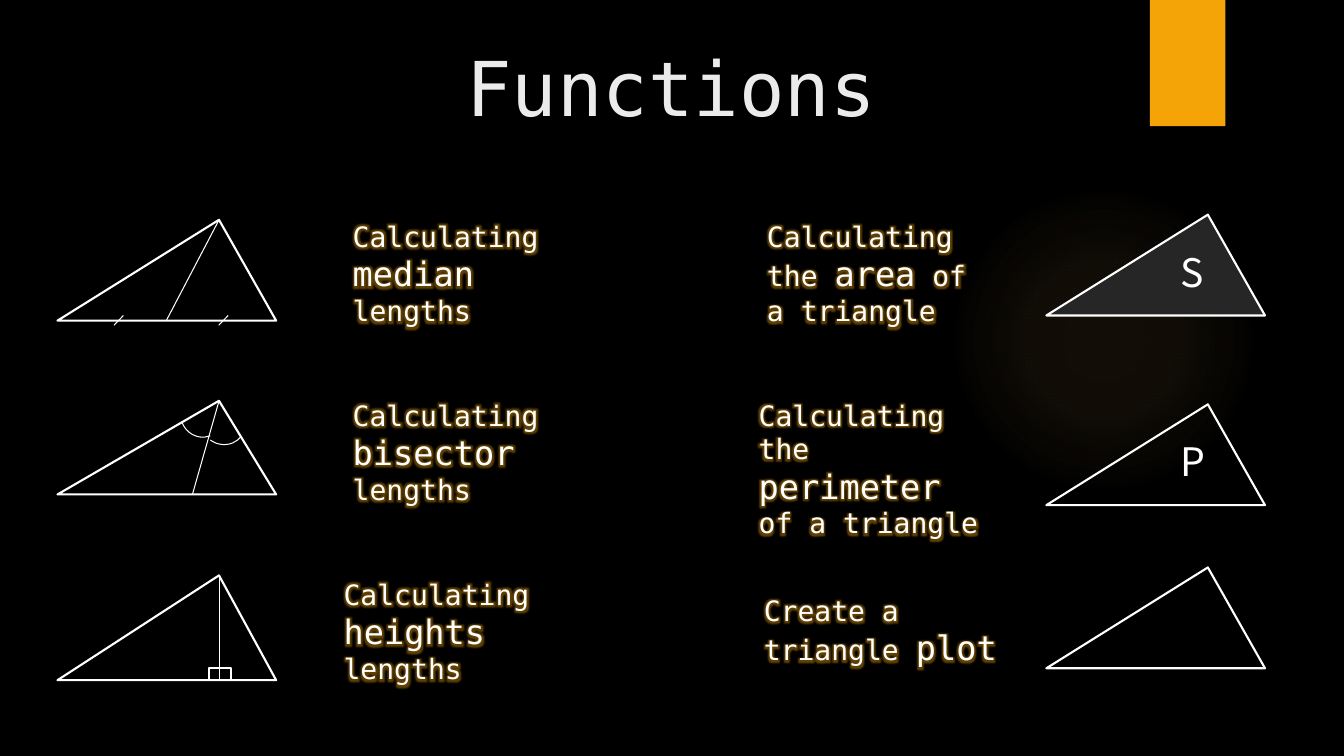
"""Build the slide listing the triangle functions with their diagrams."""
from dataclasses import dataclass
from typing import Optional

from lxml.etree import SubElement
from pptx import Presentation
from pptx.dml.color import RGBColor
from pptx.enum.shapes import MSO_CONNECTOR, MSO_SHAPE
from pptx.enum.text import MSO_ANCHOR, PP_ALIGN
from pptx.oxml import parse_xml
from pptx.oxml.ns import nsdecls, qn
from pptx.shapes.autoshape import Shape
from pptx.slide import Slide
from pptx.text.text import _Paragraph as Paragraph
from pptx.util import Cm, Pt


@dataclass(frozen=True)
class Theme:
    background: str = "000000"
    title: str = "EBEBEB"
    text: str = "FFFFFF"
    accent: str = "F5A408"
    halo: str = "FAC96A"
    area: str = "262626"
    font: str = "DejaVu Sans Mono"
    letter_font: str = "Noto Sans CJK KR"
    title_size: int = 54
    body_size: int = 20
    keyword_size: int = 24
    letter_size: int = 28
    outline: float = 1.5
    detail: float = 0.75


@dataclass(frozen=True)
class Box:
    left: float
    top: float
    width: float
    height: float

    def lengths(self) -> tuple:
        return Cm(self.left), Cm(self.top), Cm(self.width), Cm(self.height)


@dataclass(frozen=True)
class Triangle:
    left: float
    top: float
    height: float = 2.54
    foot: Optional[float] = None
    fill: Optional[str] = None


@dataclass(frozen=True)
class Label:
    box: Box
    before: str
    keyword: str
    after: str = ""
    last_line: str = ""


THEME = Theme()
BASE, APEX = 5.51, 4.07
LEFT, RIGHT = 1.45, 26.37

TRIANGLES = [
    Triangle(LEFT, 5.54, foot=4.19),
    Triangle(LEFT, 10.1, 2.36, foot=4.85),
    Triangle(LEFT, 14.5, 2.64, foot=LEFT + APEX),
    Triangle(RIGHT, 5.41, fill=THEME.area),
    Triangle(RIGHT, 10.19),
    Triangle(RIGHT, 14.3),
]
LABELS = [
    Label(Box(8.64, 5.41, 6.2, 3), "Calculating ", "median", " lengths"),
    Label(Box(8.64, 9.91, 6.2, 3), "Calculating ", "bisector", last_line="lengths"),
    Label(Box(8.41, 14.43, 6.2, 3), "Calculating ", "heights", " lengths"),
    Label(Box(19.08, 5.41, 6.2, 3), "Calculating the ", "area", " of a triangle"),
    Label(Box(18.87, 9.91, 6.2, 3.84), "Calculating the ", "perimeter", " of a triangle"),
    Label(Box(19, 14.83, 6.73, 2.13), "Create a triangle ", "plot"),
]
LETTERS = [("S", Box(29.51, 6.12, 1.3, 1.45)), ("P", Box(29.51, 10.9, 1.3, 1.45))]
TICKS = [2.87, 5.51]
ARCS = [(Box(4.55, 9.88, 1.09, 1.14), 159.2), (Box(5.08, 10.08, 1.09, 1.14), 126.8)]
RIGHT_ANGLE = Box(5.26, 16.84, 0.56, 0.3)
HALO_STOPS = [(0, 7), (36, 6), (69, 0)]


def color(value: str) -> RGBColor:
    return RGBColor.from_string(value)


def style(shape: Shape, fill: Optional[str] = None, line: Optional[float] = None) -> None:
    shape.shadow.inherit = False
    if fill:
        shape.fill.solid()
        shape.fill.fore_color.rgb = color(fill)
    else:
        shape.fill.background()
    if line:
        shape.line.color.rgb = color(THEME.text)
        shape.line.width = Pt(line)
    else:
        shape.line.fill.background()


def add_preset(slide: Slide, kind: MSO_SHAPE, box: Box, fill: Optional[str] = None,
               line: Optional[float] = None) -> Shape:
    shape = slide.shapes.add_shape(kind, *box.lengths())
    style(shape, fill, line)
    return shape


def add_halo(slide: Slide, box: Box) -> None:
    properties = add_preset(slide, MSO_SHAPE.OVAL, box)._element.spPr
    stops = "".join(
        f'<a:gs pos="{position * 1000}"><a:srgbClr val="{THEME.halo}">'
        f'<a:alpha val="{alpha * 1000}"/></a:srgbClr></a:gs>'
        for position, alpha in HALO_STOPS)
    gradient = parse_xml(
        f'<a:gradFill {nsdecls("a")}><a:gsLst>{stops}</a:gsLst><a:path path="circle">'
        '<a:fillToRect l="50000" t="50000" r="50000" b="50000"/></a:path></a:gradFill>')
    properties.replace(properties.find(qn("a:noFill")), gradient)


def add_line(slide: Slide, start: tuple[float, float], end: tuple[float, float]) -> None:
    line = slide.shapes.add_connector(
        MSO_CONNECTOR.STRAIGHT, *(Cm(value) for value in start + end))
    line.line.color.rgb = color(THEME.text)
    line.line.width = Pt(THEME.detail)
    SubElement(line._element.spPr, qn("a:effectLst"))


def add_triangle(slide: Slide, triangle: Triangle) -> None:
    bottom = triangle.top + triangle.height
    apex = (triangle.left + APEX, triangle.top)
    builder = slide.shapes.build_freeform(Cm(triangle.left), Cm(bottom))
    corners = [apex, (triangle.left + BASE, bottom)]
    builder.add_line_segments([(Cm(x), Cm(y)) for x, y in corners], close=True)
    style(builder.convert_to_shape(), triangle.fill, THEME.outline)
    if triangle.foot is not None:
        add_line(slide, apex, (triangle.foot, bottom))


def add_run(paragraph: Paragraph, text: str, size: int, font: str = THEME.font,
            shade: str = THEME.text, glow: bool = False) -> None:
    run = paragraph.add_run()
    run.text = text
    run.font.size = Pt(size)
    run.font.name = font
    run.font.color.rgb = color(shade)
    if glow:
        effect = parse_xml(
            f'<a:effectLst {nsdecls("a")}><a:glow rad="{Cm(0.28)}"><a:srgbClr '
            f'val="{THEME.accent}"><a:alpha val="40000"/></a:srgbClr></a:glow></a:effectLst>')
        run.font._element.find(qn("a:solidFill")).addnext(effect)


def add_label(slide: Slide, label: Label) -> None:
    frame = slide.shapes.add_textbox(*label.box.lengths()).text_frame
    frame.word_wrap = True
    paragraph = frame.paragraphs[0]
    add_run(paragraph, label.before, THEME.body_size, glow=True)
    add_run(paragraph, label.keyword, THEME.keyword_size, glow=True)
    if label.after:
        add_run(paragraph, label.after, THEME.body_size, glow=True)
    if label.last_line:
        add_run(frame.add_paragraph(), label.last_line, THEME.body_size, glow=True)


def add_letter(slide: Slide, letter: str, box: Box) -> None:
    frame = slide.shapes.add_textbox(*box.lengths()).text_frame
    frame.word_wrap = True
    add_run(frame.paragraphs[0], letter, THEME.letter_size, THEME.letter_font)


def set_title(slide: Slide, text: str, box: Box) -> None:
    title = slide.shapes.title
    title.left, title.top, title.width, title.height = box.lengths()
    title.text_frame.vertical_anchor = MSO_ANCHOR.MIDDLE
    paragraph = title.text_frame.paragraphs[0]
    paragraph.alignment = PP_ALIGN.CENTER
    add_run(paragraph, text, THEME.title_size, shade=THEME.title)


def main() -> None:
    presentation = Presentation()
    presentation.slide_width, presentation.slide_height = Cm(33.87), Cm(19.05)
    slide = presentation.slides.add_slide(presentation.slide_layouts[5])
    slide.background.fill.solid()
    slide.background.fill.fore_color.rgb = color(THEME.background)
    add_halo(slide, Box(23.9, 4.65, 7.82, 7.82))
    add_preset(slide, MSO_SHAPE.RECTANGLE, Box(28.98, 0, 1.9, 3.18), THEME.accent)
    set_title(slide, "Functions", Box(6.96, 0.23, 19.91, 3.89))
    for triangle in TRIANGLES:
        add_triangle(slide, triangle)
    for left in TICKS:
        add_line(slide, (left + 0.24, 7.95), (left, 8.2))
    for box, rotation in ARCS:
        add_preset(slide, MSO_SHAPE.ARC, box, line=THEME.detail).rotation = rotation
    add_preset(slide, MSO_SHAPE.RECTANGLE, RIGHT_ANGLE, line=THEME.outline)
    for label in LABELS:
        add_label(slide, label)
    for letter, box in LETTERS:
        add_letter(slide, letter, box)
    presentation.save("out.pptx")


main()
